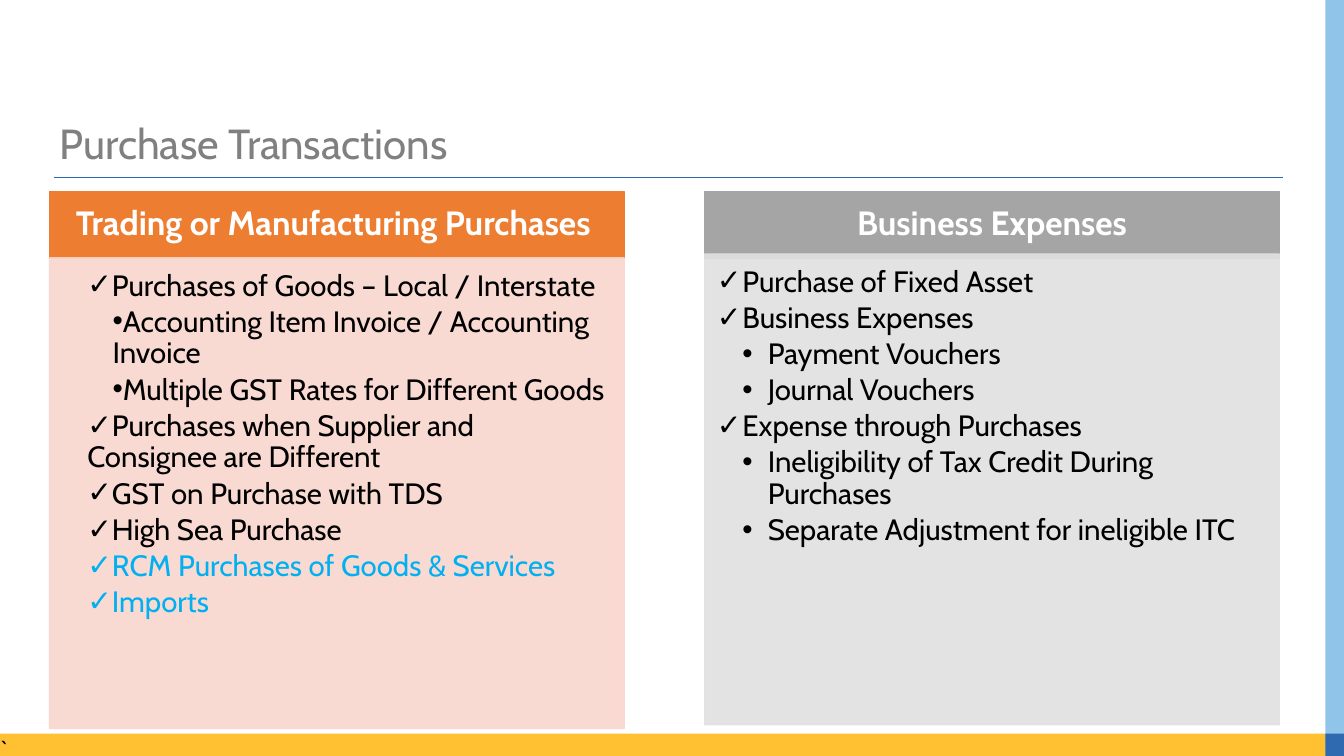
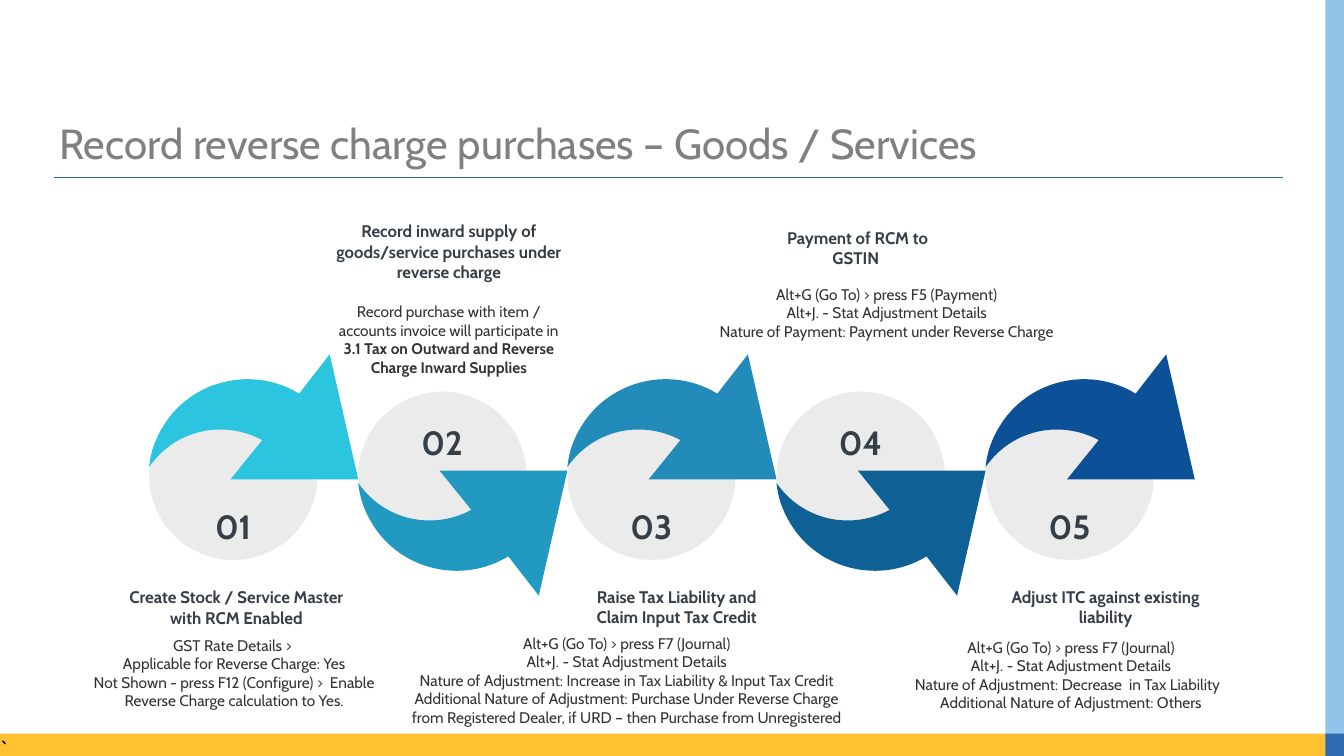
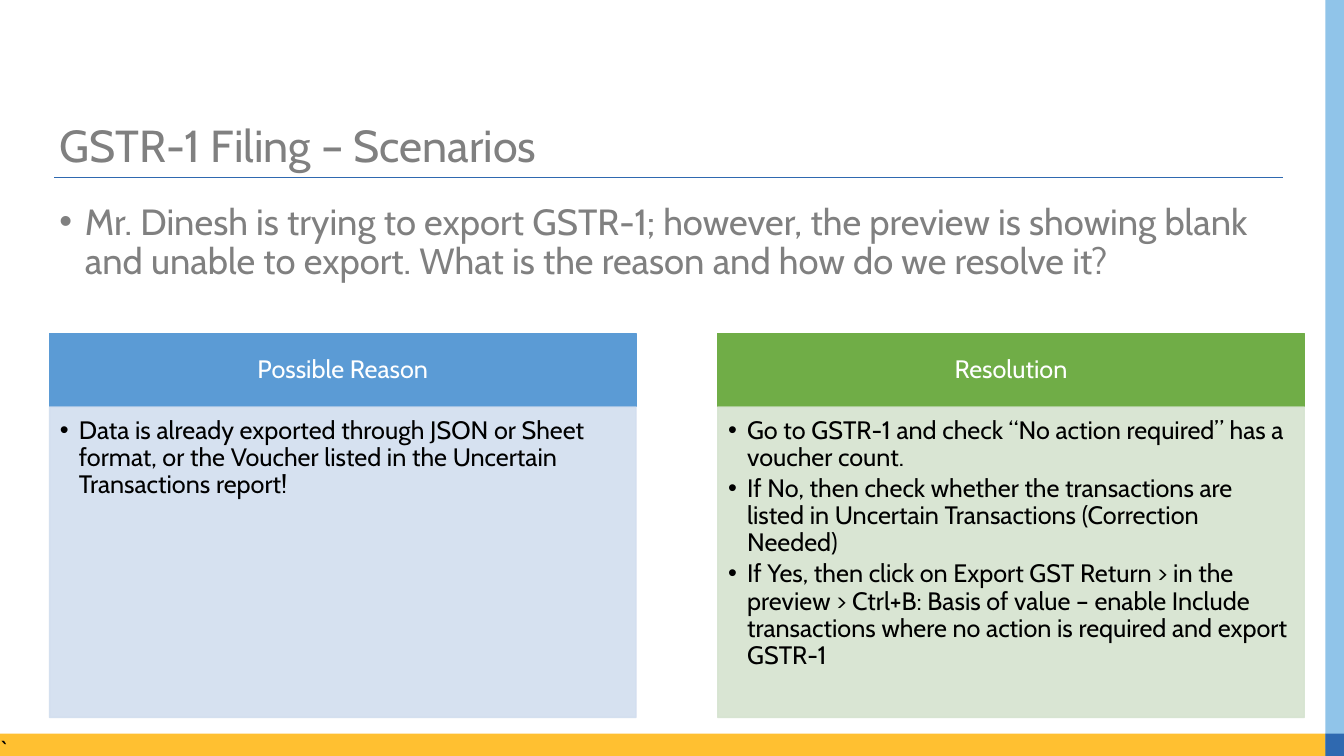
from lxml.etree import SubElement
from pptx import Presentation
from pptx.dml.color import RGBColor
from pptx.enum.shapes import MSO_CONNECTOR, MSO_SHAPE
from pptx.enum.text import MSO_ANCHOR, PP_ALIGN
from pptx.oxml.ns import qn
from pptx.util import Cm, Pt

COLORS = {
    "rule": "2F69B0", "footer": "FFC031", "side": "90C4E9", "corner": "2F69B0",
    "title": "808080", "black": "000000", "white": "FFFFFF", "highlight": "00B0F0",
    "orange": "ED7D31", "orange_tint": "F8D7CE", "gray": "A5A5A5", "gray_tint": "E1E1E1",
    "blue": "5B9BD5", "blue_tint": "D2DEEF", "green": "70AD47", "green_tint": "D5E3CF",
    "disc": "EBEBEB", "step_heading": "363E48", "step_detail": "333333",
    "arrow1": "2BC5E0", "arrow2": "2299C0", "arrow3": "228BB9",
    "arrow4": "0F6195", "arrow5": "0C5198",
}

CENTERED = {"alignment": PP_ALIGN.CENTER}
TIGHT = {"line_spacing": 0.9}
STEP_HEADING = {"size": 12, "bold": True, "color": "step_heading"}
STEP_NUMBER = {"size": 24, "bold": True, "color": "step_heading"}
STEP_DETAIL = {"size": 11, "color": "step_detail"}

LEFT = 1.25
STEP_LEFT, STEP_PITCH = 3.76, 5.27
ARROW_HEIGHT = 3.15
ARROW_START = (5.27, 3.15)
# Each part is one point (straight) or three points (cubic curve).
ARROW_PARTS = [
    [(4.55, 0)],
    [(3.78, 0.99)],
    [(2.62, 0.28), (1.07, 0.64), (0.36, 1.8)],
    [(0.15, 2.13), (0.03, 2.49), (0, 2.84)],
    [(0.64, 1.91), (1.85, 1.63), (2.85, 2.16)],
    [(2.05, 3.15)],
]

# Heading and detail of each step: text, then left, top, width, height.
STEPS = [
    (("Create Stock / Service Master with RCM Enabled", (2.9, 14.67, 6.12, 1.27)),
     (["GST Rate Details > ",
       "Applicable for Reverse Charge: Yes",
       "Not Shown - press F12 (Configure) >  Enable Reverse Charge calculation to Yes."],
      (1.98, 15.9, 7.85, 2.62))),
    (("Record inward supply of goods/service purchases under reverse charge",
      (8.18, 5.45, 6.27, 1.8)),
     ([[("Record purchase with item / accounts invoice will participate in ", {}),
        ("3.1 Tax on Outward and Reverse Charge Inward Supplies", {"bold": True})]],
      (8.18, 7.49, 6.27, 2.13))),
    (("Raise Tax Liability and Claim Input Tax Credit", (14.3, 14.66, 5.51, 1.27)),
     (["Alt+G (Go To) > press F7 (Journal)",
       "Alt+J. - Stat Adjustment Details",
       "Nature of Adjustment: Increase in Tax Liability & Input Tax Credit",
       "Additional Nature of Adjustment: Purchase Under Reverse Charge "
       "from Registered Dealer, if URD – then Purchase from Unregistered"],
      (9.96, 15.85, 11.68, 2.62))),
    (("Payment of RCM to GSTIN ", (19.48, 5.61, 4.27, 1.27)),
     (["Alt+G (Go To) > press F5 (Payment)",
       "Alt+J. - Stat Adjustment Details",
       "Nature of Payment: Payment under Reverse Charge"],
      (17.51, 7.06, 9.68, 1.68))),
    (("Adjust ITC against existing liability", (24.84, 14.66, 6.05, 1.27)),
     (["Alt+G (Go To) > press F7 (Journal)",
       "Alt+J. - Stat Adjustment Details",
       "Nature of Adjustment: Decrease  in Tax Liability  ",
       "Additional Nature of Adjustment: Others"],
      (22.45, 15.95, 9.09, 2.13))),
]


def rgb(name):
    return RGBColor.from_string(COLORS[name])


def set_all(target, values):
    for attribute, value in values.items():
        setattr(target, attribute, value)


def set_frame(frame, insets=None, anchor=MSO_ANCHOR.TOP):
    """Wrap the text; insets are left, top, right, bottom in cm."""
    set_all(frame, {"word_wrap": True, "vertical_anchor": anchor})
    if insets:
        sides = ("margin_left", "margin_top", "margin_right", "margin_bottom")
        set_all(frame, dict(zip(sides, map(Cm, insets))))


def add_bullet(paragraph, mark, margin, indent):
    properties = paragraph._p.get_or_add_pPr()
    properties.set("marL", str(Cm(margin)))
    properties.set("indent", str(Cm(indent)))
    SubElement(properties, qn("a:buFont")).set("typeface", "Arial")
    SubElement(properties, qn("a:buChar")).set("char", mark)


def write_runs(paragraph, content, size, color, bold=False, name="Cabin"):
    """Content is a string or a list of (text, font changes)."""
    runs = [(content, {})] if isinstance(content, str) else content
    for text, changes in runs:
        run = paragraph.add_run()
        run.text = text
        set_all(run.font, {"name": name, "size": Pt(size), "bold": bold, **changes})
        run.font.color.rgb = rgb(color)


def next_paragraph(frame, index):
    return frame.add_paragraph() if index else frame.paragraphs[0]


def add_text(slide, box, paragraphs, layout, font):
    frame = slide.shapes.add_textbox(*map(Cm, box)).text_frame
    set_frame(frame)
    for index, content in enumerate(paragraphs):
        paragraph = next_paragraph(frame, index)
        set_all(paragraph, layout)
        write_runs(paragraph, content, **font)
    return frame


def paint(shape, fill, line=None):
    shape.shadow.inherit = False
    shape.fill.solid()
    shape.fill.fore_color.rgb = rgb(fill)
    if line:
        shape.line.color.rgb = rgb(line)
        shape.line.width = Pt(1)
    else:
        shape.line.fill.background()


def add_block(slide, kind, box, fill, line=None):
    block = slide.shapes.add_shape(kind, *map(Cm, box))
    paint(block, fill, line)
    return block


def make_translucent(shape, percent):
    for color in shape._element.spPr.iter(qn("a:srgbClr")):
        SubElement(color, qn("a:alpha")).set("val", str(percent * 1000))


def start_slide(deck, title, size=30):
    """Add a slide with the shared rule, bands and title."""
    slide = deck.slides.add_slide(deck.slide_layouts[6])
    rule = slide.shapes.add_connector(
        MSO_CONNECTOR.STRAIGHT, Cm(1.37), Cm(4.47), Cm(32.34), Cm(4.47))
    rule.line.color.rgb = rgb("rule")
    rule.line.width = Pt(0.82)
    SubElement(rule._element.spPr, qn("a:effectLst"))

    footer = add_block(slide, MSO_SHAPE.RECTANGLE, (0, 18.49, 33.66, 0.56), "footer")
    set_frame(footer.text_frame, (0, 0, 0, 0))
    mark = footer.text_frame.paragraphs[0]
    mark.alignment = PP_ALIGN.LEFT
    write_runs(mark, "`", 18, "black", name="Calibri")
    add_block(slide, MSO_SHAPE.RECTANGLE, (33.4, 0, 0.47, 18.87), "side")
    add_block(slide, MSO_SHAPE.RECTANGLE, (33.4, 18.49, 0.47, 0.56), "corner")

    add_text(slide, (LEFT, 2.99, 31, 1.27), [title], TIGHT,
             {"size": size, "color": "title"})
    return slide


def add_card(slide, heading, header_box, body_box, color, heading_font, items,
             body_size, insets):
    """Items are (text, mark, margin, indent, colour)."""
    header = add_block(slide, MSO_SHAPE.RECTANGLE, header_box, color, color)
    set_frame(header.text_frame, (0.4, 0.2, 0.4, 0.2), MSO_ANCHOR.MIDDLE)
    title = header.text_frame.paragraphs[0]
    set_all(title, {**CENTERED, **TIGHT})
    write_runs(title, heading, color="white", **heading_font)

    tint = color + "_tint"
    body = add_block(slide, MSO_SHAPE.RECTANGLE, body_box, tint, tint)
    make_translucent(body, 90)
    set_frame(body.text_frame, insets)
    for index, (text, mark, margin, indent, text_color) in enumerate(items):
        paragraph = next_paragraph(body.text_frame, index)
        add_bullet(paragraph, mark, margin, indent)
        set_all(paragraph, {**TIGHT, "alignment": PP_ALIGN.LEFT,
                            "space_after": Pt(0.15 * body_size)})
        write_runs(paragraph, text, body_size, text_color)


def bend_segments(shape, parts):
    """Turn each three-point part of the outline into one cubic curve."""
    segments = iter(list(shape._element.spPr.iter(qn("a:lnTo"))))
    for part in parts:
        first, *others = [next(segments) for _ in part]
        if others:
            curve = first.makeelement(qn("a:cubicBezTo"))
            first.addprevious(curve)
            for segment in (first, *others):
                curve.append(segment[0])
                segment.getparent().remove(segment)


def add_swirl(slide, left, top, color, downward):
    outline = [ARROW_START] + [point for part in ARROW_PARTS for point in part]
    points = [(Cm(left + x), Cm(top + (ARROW_HEIGHT - y if downward else y)))
              for x, y in outline]
    builder = slide.shapes.build_freeform(*points[0])
    builder.add_line_segments(points[1:], close=True)
    swirl = builder.convert_to_shape()
    bend_segments(swirl, ARROW_PARTS)
    paint(swirl, color)


def build_purchases(deck):
    slide = start_slide(deck, "Purchase Transactions")
    level = 0.64
    trading = [
        ("Purchases of Goods – Local / Interstate", 1, "black"),
        ("Accounting Item Invoice / Accounting Invoice", 2, "black"),
        ("Multiple GST Rates for Different Goods", 2, "black"),
        ("Purchases when Supplier and Consignee are Different", 1, "black"),
        ("GST on Purchase with TDS", 1, "black"),
        ("High Sea Purchase", 1, "black"),
        ("RCM Purchases of Goods & Services", 1, "highlight"),
        ("Imports", 1, "highlight"),
    ]
    expenses = [
        ("Purchase of Fixed Asset", 1, "black"),
        ("Business Expenses", 1, "black"),
        ("Payment Vouchers", 2, "black"),
        ("Journal Vouchers", 2, "black"),
        ("Expense through Purchases", 1, "black"),
        ("Ineligibility of Tax Credit During Purchases", 2, "black"),
        ("Separate Adjustment for ineligible ITC", 2, "black"),
    ]
    cards = [
        ("Trading or Manufacturing Purchases ", LEFT, 6.5, "orange", 0, trading),
        ("Business Expenses", 17.76, 6.4, "gray", -level, expenses),
    ]
    marks = {1: "✓", 2: "•"}
    for heading, left, body_top, color, indent, entries in cards:
        items = [(text, marks[depth], level * depth, indent, text_color)
                 for text, depth, text_color in entries]
        add_card(slide, heading, (left, 4.83, 14.48, 1.67),
                 (left, body_top, 14.48, 11.86), color, {"size": 24, "bold": True},
                 items, 21, (0.31, 0.32, 0.41, 0.46))


def build_reverse_charge(deck):
    slide = start_slide(deck, "Record reverse charge purchases – Goods / Services")
    for index, (heading, detail) in enumerate(STEPS):
        left = STEP_LEFT + index * STEP_PITCH
        downward = index % 2 == 1
        add_block(slide, MSO_SHAPE.OVAL, (left, 9.87, 4.24, 4.24), "disc")
        add_swirl(slide, left, 11.86 if downward else 8.93, f"arrow{index + 1}", downward)
        number_box = (left + 0.92, 10.51 if downward else 12.62, 2.39, 1.27)
        add_text(slide, number_box, [f"{index + 1:02}"], CENTERED, STEP_NUMBER)
        add_text(slide, heading[1], [heading[0]], CENTERED, STEP_HEADING)
        add_text(slide, detail[1], detail[0], CENTERED, STEP_DETAIL)


def build_filing(deck):
    slide = start_slide(deck, "GSTR-1 Filing – Scenarios", 32)
    question = add_text(
        slide, (LEFT, 5.01, 31.34, 2.8),
        ["Mr. Dinesh is trying to export GSTR-1; however, the preview is showing blank "
         "and unable to export. What is the reason and how do we resolve it?"],
        TIGHT, {"size": 26, "color": "title"})
    add_bullet(question.paragraphs[0], "•", 0.64, -0.64)
    cards = [
        ("Possible Reason", LEFT, "blue", [
            "Data is already exported through JSON or Sheet format, or the Voucher "
            "listed in the Uncertain Transactions report!"]),
        ("Resolution", 18.09, "green", [
            "Go to GSTR-1 and check “No action required” has a voucher count.",
            "If No, then check whether the transactions are listed in Uncertain "
            "Transactions (Correction Needed)",
            "If Yes, then click on Export GST Return > in the preview > Ctrl+B: Basis of "
            "value – enable Include transactions where no action is required and "
            "export GSTR-1"]),
    ]
    for heading, left, color, entries in cards:
        items = [(text, "•", 0.48, -0.48, "black") for text in entries]
        add_card(slide, heading, (left, 8.41, 14.78, 1.83), (left, 10.26, 14.78, 7.82),
                 color, {"size": 18}, items, 18, (0.26, 0.26, 0.35, 0.4))


def main():
    deck = Presentation()
    set_all(deck, {"slide_width": Cm(33.87), "slide_height": Cm(19.05)})
    build_purchases(deck)
    build_reverse_charge(deck)
    build_filing(deck)
    deck.save("out.pptx")


if __name__ == "__main__":
    main()
